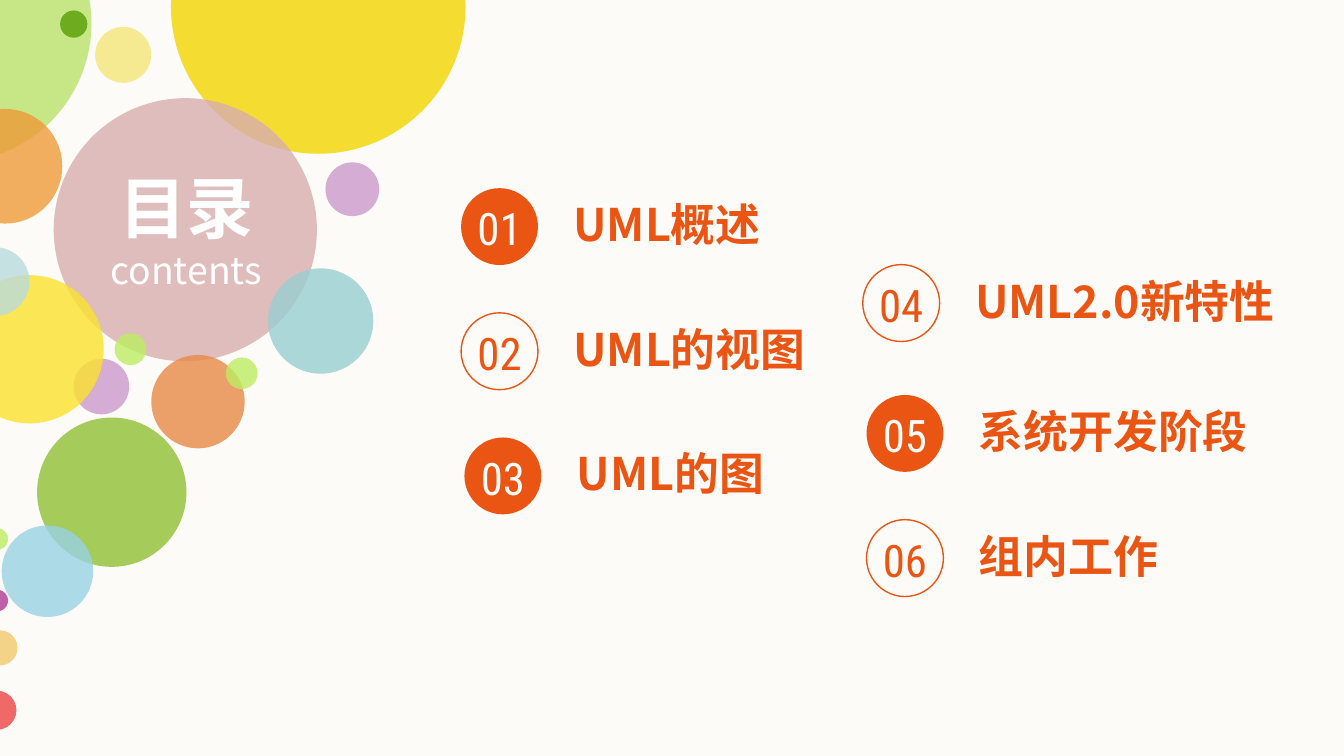
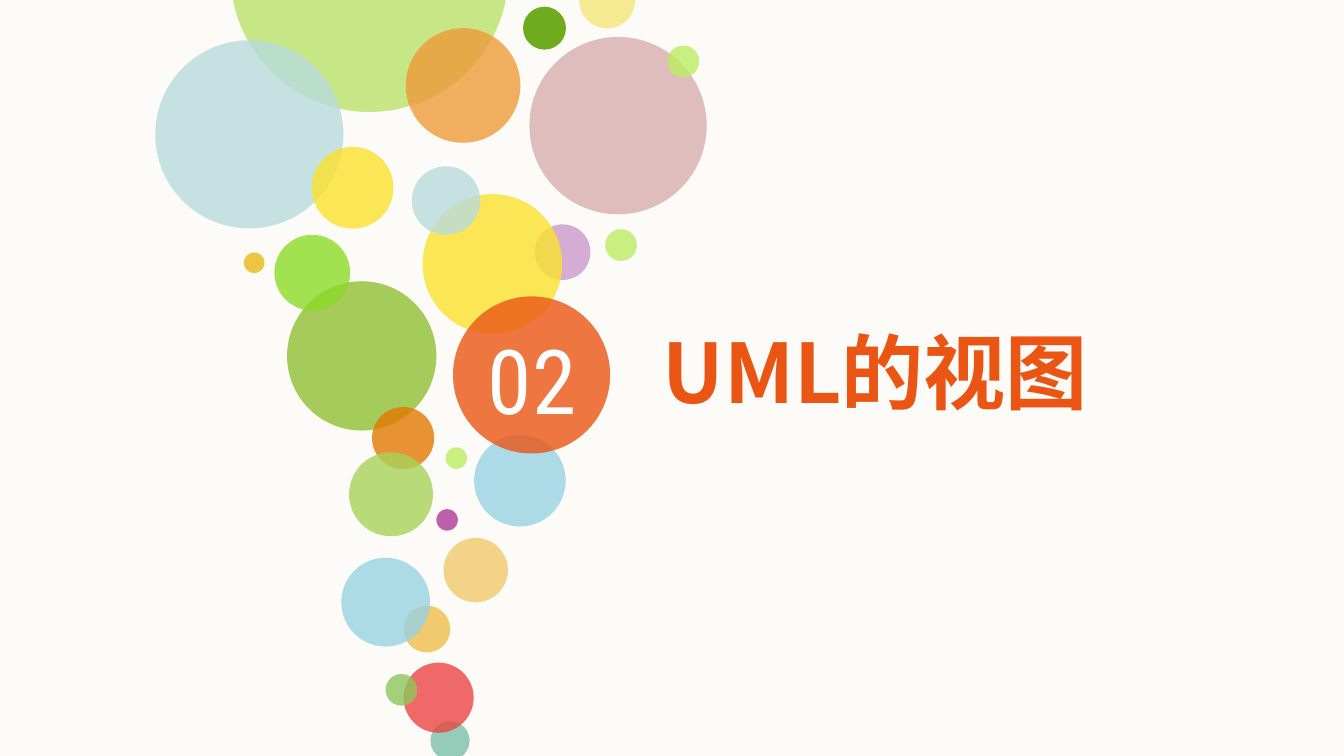
from lxml import etree
from pptx import Presentation
from pptx.dml.color import RGBColor
from pptx.enum.shapes import MSO_SHAPE
from pptx.enum.text import MSO_AUTO_SIZE, PP_ALIGN
from pptx.oxml.ns import qn
from pptx.util import Pt

OVAL = MSO_SHAPE.OVAL
GROW = MSO_AUTO_SIZE.SHAPE_TO_FIT_TEXT
LEFT, CENTER = PP_ALIGN.LEFT, PP_ALIGN.CENTER

TEXT_FONT = "Noto Sans CJK SC"
NUMBER_FONT = "Roboto Condensed"

PAPER = RGBColor(0xFC, 0xFB, 0xF7)
WHITE = RGBColor(0xFF, 0xFF, 0xFF)
ACCENT = RGBColor(0xEA, 0x55, 0x14)
PALE_GREEN = RGBColor(0xBA, 0xE3, 0x6B)
DARK_GREEN = RGBColor(0x6E, 0xAB, 0x1F)
LEAF = RGBColor(0xA5, 0xCB, 0x5A)
MEADOW = RGBColor(0xA9, 0xD2, 0x5A)
BRIGHT_GREEN = RGBColor(0x8C, 0xDB, 0x27)
SOFT_GREEN = RGBColor(0x8D, 0xC6, 0x5B)
LIME = RGBColor(0xBC, 0xED, 0x61)
ORANGE = RGBColor(0xED, 0x9B, 0x38)
DARK_ORANGE = RGBColor(0xE2, 0x79, 0x02)
COPPER = RGBColor(0xE7, 0x8A, 0x47)
CREAM = RGBColor(0xF5, 0xEA, 0x91)
GOLD = RGBColor(0xF4, 0xD5, 0x00)
YELLOW = RGBColor(0xFB, 0xE2, 0x2D)
MUSTARD = RGBColor(0xE9, 0xB9, 0x15)
SAND = RGBColor(0xF0, 0xCA, 0x6C)
ROSE = RGBColor(0xD8, 0xAE, 0xAF)
LILAC = RGBColor(0xCB, 0x99, 0xCC)
MAGENTA = RGBColor(0xB0, 0x38, 0x96)
RED = RGBColor(0xEB, 0x45, 0x44)
TEAL = RGBColor(0x99, 0xCE, 0xD2)
SEA = RGBColor(0x7B, 0xBF, 0xAA)
MIST = RGBColor(0xB9, 0xDB, 0xDD)
SKY = RGBColor(0x98, 0xD2, 0xE3)

# Bubbles from back to front: left, top, diameter, colour, opacity if not 80
CONTENTS_BUBBLES = [
    (-100, -62, 149, PALE_GREEN),
    (32.2, 5.6, 14.6, DARK_GREEN, 100),
    (-28, 58.4, 61.4, ORANGE),
    (51, 14.4, 30, CREAM, 100),
    (91.6, -75.4, 157.8, GOLD),
    (28.8, 52.6, 141, ROSE),
    (143.6, 143.8, 56.4, TEAL),
    (174.4, 87, 28.8, LILAC),
    (81.1, 190.2, 50, COPPER),
    (19.9, 223.7, 80, LEAF, 100),
    (121, 191.5, 17, LIME),
    (61.4, 178.6, 17, LIME),
    (39.4, 192.2, 29.8, LILAC),
    (-23.8, 147.4, 79.4, YELLOW),
    (-7.2, 283, 11.5, LIME),
    (-7.2, 316, 11.5, MAGENTA),
    (-9.4, 337.7, 18.8, SAND),
    (-12.2, 370, 21, RED),
    (-20.9, 132.5, 36.7, MIST),
    (0.9, 281.5, 49, SKY),
]
SECTION_BUBBLES = [
    (123.4, -89, 149, PALE_GREEN),
    (280.2, 3.6, 23, DARK_GREEN, 100),
    (83.2, 21.6, 100.8, MIST),
    (217.4, 15.1, 61.4, ORANGE),
    (310.3, -14.8, 30, CREAM, 100),
    (283.6, 19.8, 95, ROSE),
    (153.8, 150.7, 80, LEAF, 100),
    (357.6, 24.4, 17, LIME),
    (324.2, 122.8, 17, LIME),
    (286.5, 120.2, 29.8, LILAC),
    (226.4, 104, 74.8, YELLOW),
    (167, 78.7, 43.8, YELLOW),
    (147, 125.8, 40.6, BRIGHT_GREEN),
    (130.7, 135.3, 11, MUSTARD),
    (238.7, 239.7, 11.5, LIME),
    (233.8, 272.8, 11.5, MAGENTA),
    (237.6, 288.2, 34.5, SAND),
    (216.2, 324.5, 25, SAND, 100),
    (230.6, 386.3, 21, SEA),
    (216.2, 355, 37.6, RED),
    (206.6, 361.1, 17, SOFT_GREEN),
    (182.8, 298.8, 47.6, SKY),
    (220.6, 89.1, 36.7, MIST),
    (254, 233, 49, SKY),
    (199.3, 218, 33.3, DARK_ORANGE),
    (187, 242.3, 45, MEADOW),
    (242.7, 158.8, 84.2, ACCENT),
]

# Contents entries: left, top, label, label width
CONTENTS = [
    (247, 100.8, "UML概述", 117),
    (247, 167.6, "UML的视图", 133),
    (248.8, 234.4, "UML的图", 127),
    (462.2, 141.8, "UML2.0新特性", 178),
    (464.2, 211.6, "系统开发阶段", 170),
    (464.2, 278.4, "组内工作", 153),
]
BADGE = 41.2


class Deck:
    def __init__(self):
        self.presentation = Presentation()
        self.presentation.slide_width = Pt(720)
        self.presentation.slide_height = Pt(405)
        self.slide = None

    def add_slide(self, bubbles):
        self.slide = self.presentation.slides.add_slide(
            self.presentation.slide_layouts[6])
        fill = self.slide.background.fill
        fill.solid()
        fill.fore_color.rgb = PAPER
        for bubble in bubbles:
            self.add_bubble(*bubble)

    def add_circle(self, left, top, diameter):
        shape = self.slide.shapes.add_shape(
            OVAL, Pt(left), Pt(top), Pt(diameter), Pt(diameter))
        shape.shadow.inherit = False
        return shape

    def add_bubble(self, left, top, diameter, colour, opacity=80):
        shape = self.add_circle(left, top, diameter)
        shape.fill.solid()
        shape.fill.fore_color.rgb = colour
        shape.line.fill.background()
        if opacity < 100:
            colour_element = shape._element.spPr.find(
                qn("a:solidFill")).find(qn("a:srgbClr"))
            etree.SubElement(colour_element, qn("a:alpha"),
                             val=str(opacity * 1000))

    def add_ring(self, left, top, diameter):
        shape = self.add_circle(left, top, diameter)
        shape.fill.background()
        shape.line.color.rgb = ACCENT
        shape.line.width = Pt(0.75)

    def add_text(self, left, top, width, height, lines, colour=ACCENT,
                 align=LEFT, font=TEXT_FONT):
        """Each line is (text, size, bold)."""
        box = self.slide.shapes.add_textbox(
            Pt(left), Pt(top), Pt(width), Pt(height))
        frame = box.text_frame
        frame.word_wrap = True
        frame.auto_size = GROW
        frame.margin_left = frame.margin_right = 0
        frame.margin_top = frame.margin_bottom = 0
        for index, (text, size, bold) in enumerate(lines):
            paragraph = frame.add_paragraph() if index else frame.paragraphs[0]
            paragraph.text = text
            paragraph.alignment = align
            paragraph.font.name = font
            paragraph.font.size = Pt(size)
            paragraph.font.bold = bold
            paragraph.font.color.rgb = colour
            # East Asian characters need their own typeface entry
            properties = paragraph._p.pPr.find(qn("a:defRPr"))
            etree.SubElement(properties, qn("a:ea"), typeface=font)

    def add_number(self, left, top, width, height, number, size, colour):
        self.add_text(left, top, width, height,
                      [(f"{number:02d}", size, False)],
                      colour, CENTER, NUMBER_FONT)

    def add_entry(self, number, left, top, label, width):
        if number % 2:
            self.add_bubble(left, top, BADGE, ACCENT, 100)
        else:
            self.add_ring(left, top, BADGE)
        self.add_number(left, top + 6.8, BADGE, 29, number, 24,
                        PAPER if number % 2 else ACCENT)
        self.add_text(left + 60.2, top + 4.6, width, 29, [(label, 24, True)])


def main():
    deck = Deck()

    # Contents
    deck.add_slide(CONTENTS_BUBBLES)
    deck.add_text(45.4, 89.3, 108.7, 67.7,
                  [("目录", 36, True), ("contents", 20, False)], WHITE, CENTER)
    for number, entry in enumerate(CONTENTS, start=1):
        deck.add_entry(number, *entry)

    # Section opener
    deck.add_slide(SECTION_BUBBLES)
    deck.add_number(256.3, 174.2, 57.6, 58.2, 2, 48, WHITE)
    deck.add_text(355, 172.1, 249, 53.3, [("UML的视图", 44, True)])

    deck.presentation.save("out.pptx")


if __name__ == "__main__":
    main()
